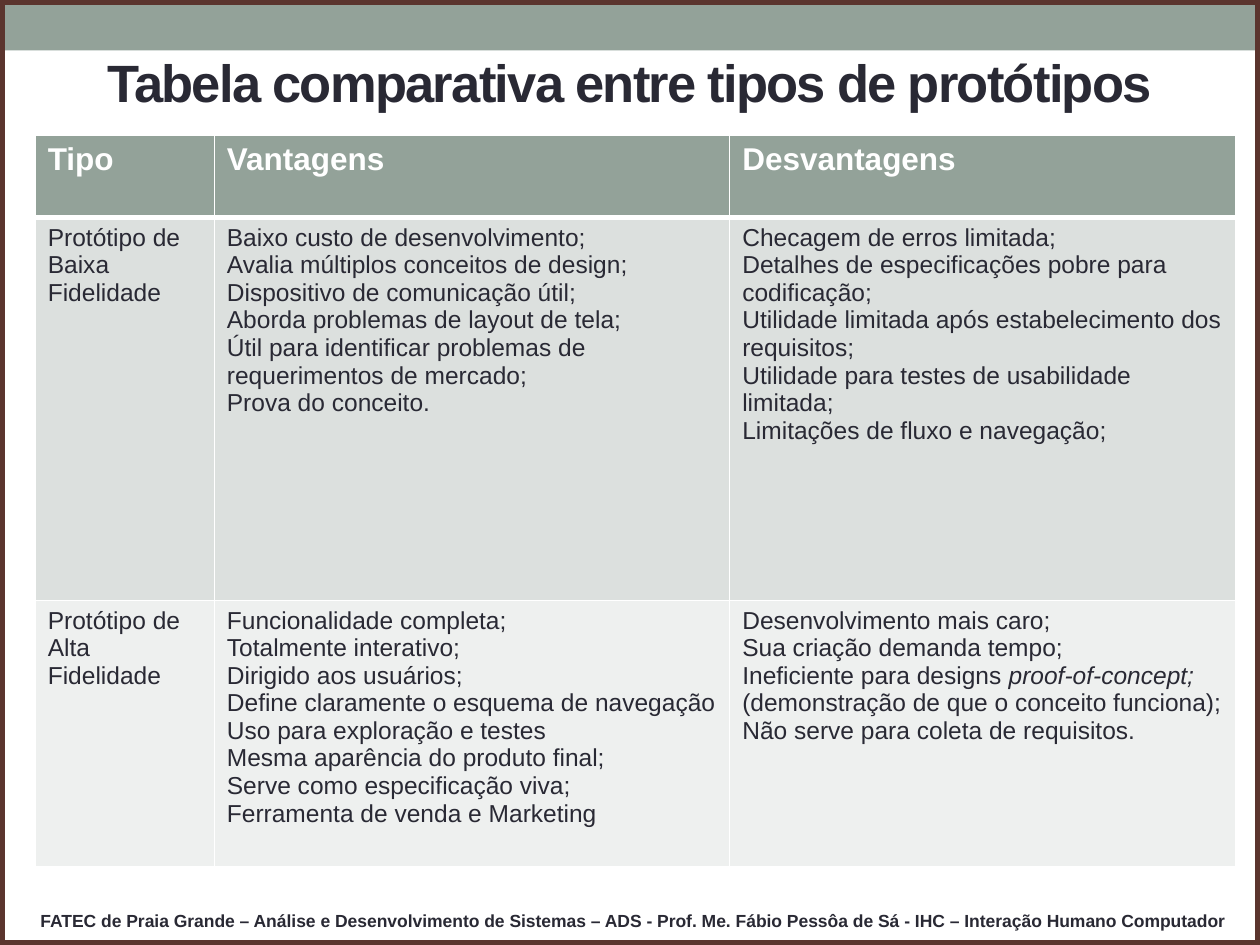
from lxml.etree import SubElement
from pptx import Presentation
from pptx.dml.color import RGBColor
from pptx.enum.shapes import MSO_SHAPE
from pptx.enum.text import MSO_ANCHOR, PP_ALIGN
from pptx.oxml.ns import qn
from pptx.util import Cm, Pt

SAGE = RGBColor(0x93, 0xA2, 0x99)
BROWN = RGBColor(0x5B, 0x35, 0x2E)
INK = RGBColor(0x29, 0x29, 0x34)
WHITE = RGBColor(0xFF, 0xFF, 0xFF)
ROW_FILLS = [SAGE, RGBColor(0xDC, 0xE0, 0xDE), RGBColor(0xEE, 0xF0, 0xEF)]

COLUMN_WIDTHS = [3.61, 10.39, 10.21]
ROW_HEIGHTS = [1.66, 7.72, 5.36]
# Each cell is a list of paragraphs; asterisks enclose italics.
ROWS = [
    [["Tipo"], ["Vantagens"], ["Desvantagens"]],
    [
        ["Protótipo de Baixa Fidelidade"],
        [
            "Baixo custo de desenvolvimento;",
            "Avalia múltiplos conceitos de design;",
            "Dispositivo de comunicação útil;",
            "Aborda problemas de layout de tela;",
            "Útil para identificar problemas de requerimentos de mercado;",
            "Prova do conceito.",
        ],
        [
            "Checagem de erros limitada;",
            "Detalhes de especificações pobre para codificação;",
            "Utilidade limitada após estabelecimento dos requisitos;",
            "Utilidade para testes de usabilidade limitada;",
            "Limitações de fluxo e navegação;",
        ],
    ],
    [
        ["Protótipo de Alta Fidelidade"],
        [
            "Funcionalidade completa;",
            "Totalmente interativo;",
            "Dirigido aos usuários;",
            "Define claramente o esquema de navegação",
            "Uso para exploração e testes",
            "Mesma aparência do produto final;",
            "Serve como especificação viva;",
            "Ferramenta de venda e Marketing",
        ],
        [
            "Desenvolvimento mais caro;",
            "Sua criação demanda tempo;",
            "Ineficiente para designs *proof-of-concept; *"
            "(demonstração de que o conceito funciona);",
            "Não serve para coleta de requisitos.",
        ],
    ],
]


def write_text(frame, lines, size=14, color=INK, bold=False,
               align=PP_ALIGN.LEFT, spacing=None):
    """Write one paragraph per line; parts between asterisks are italic."""
    frame.word_wrap = True
    for index, line in enumerate(lines):
        para = frame.add_paragraph() if index else frame.paragraphs[0]
        para.alignment = align
        for part_index, part in enumerate(line.split("*")):
            span = para.add_run()
            span.text = part
            font = span.font
            font.name, font.size, font.bold = "Arial", Pt(size), bold
            font.italic = part_index % 2 == 1
            font.color.rgb = color
            if spacing is not None:
                span._r.get_or_add_rPr().set("spc", str(round(spacing * 100)))


def add_text_box(page, left, top, width, height, text, **text_format):
    box = page.shapes.add_textbox(Cm(left), Cm(top), Cm(width), Cm(height))
    box.text_frame.vertical_anchor = MSO_ANCHOR.MIDDLE
    write_text(box.text_frame, [text], align=PP_ALIGN.CENTER, **text_format)


def add_rectangle(page, width, height, fill=None, line=None):
    """Add a rectangle at the top left corner of the page."""
    shape = page.shapes.add_shape(MSO_SHAPE.RECTANGLE, 0, 0, width, height)
    shape.shadow.inherit = False
    if fill is None:
        shape.fill.background()
    else:
        shape.fill.solid()
        shape.fill.fore_color.rgb = fill
    if line is None:
        shape.line.fill.background()
    else:
        shape.line.color.rgb = line
        shape.line.width = Pt(6)


def set_borders(cell, top=1, bottom=1):
    properties = cell._tc.get_or_add_tcPr()
    for side, width in {"L": 1, "R": 1, "T": top, "B": bottom}.items():
        border = SubElement(properties, qn(f"a:ln{side}"), w=str(Pt(width)))
        fill = SubElement(border, qn("a:solidFill"))
        SubElement(fill, qn("a:srgbClr"), val=str(WHITE))


def add_comparison_table(page):
    table = page.shapes.add_table(
        len(ROW_HEIGHTS), len(COLUMN_WIDTHS), Cm(0.71), Cm(2.73),
        Cm(sum(COLUMN_WIDTHS)), Cm(sum(ROW_HEIGHTS))).table
    for column, width in zip(table.columns, COLUMN_WIDTHS):
        column.width = Cm(width)
    for row_index, (row, height) in enumerate(zip(table.rows, ROW_HEIGHTS)):
        row.height = Cm(height)
        header = row_index == 0
        for cell, lines in zip(row.cells, ROWS[row_index]):
            set_borders(cell, top=3 if row_index == 1 else 1,
                        bottom=3 if header else 1)
            cell.fill.solid()
            cell.fill.fore_color.rgb = ROW_FILLS[row_index]
            write_text(cell.text_frame, lines, size=18 if header else 14,
                       color=WHITE if header else INK, bold=header)


def main():
    deck = Presentation()
    deck.slide_width, deck.slide_height = Cm(25.4), Cm(19.05)
    page = deck.slides.add_slide(deck.slide_layouts[6])
    add_rectangle(page, deck.slide_width, Cm(1.02), fill=SAGE)
    add_rectangle(page, deck.slide_width, deck.slide_height, line=BROWN)
    add_text_box(page, 0.05, 18.21, 25.4, 0.69,
                 "FATEC de Praia Grande – Análise e Desenvolvimento de Sistemas"
                 " – ADS - Prof. Me. Fábio Pessôa de Sá - IHC – Interação"
                 " Humano Computador", size=10, bold=True)
    add_text_box(page, 0, 0.53, 25.4, 2.21,
                 "Tabela comparativa entre tipos de protótipos",
                 size=30, bold=True, spacing=-1)
    add_comparison_table(page)
    deck.save("out.pptx")


if __name__ == "__main__":
    main()
